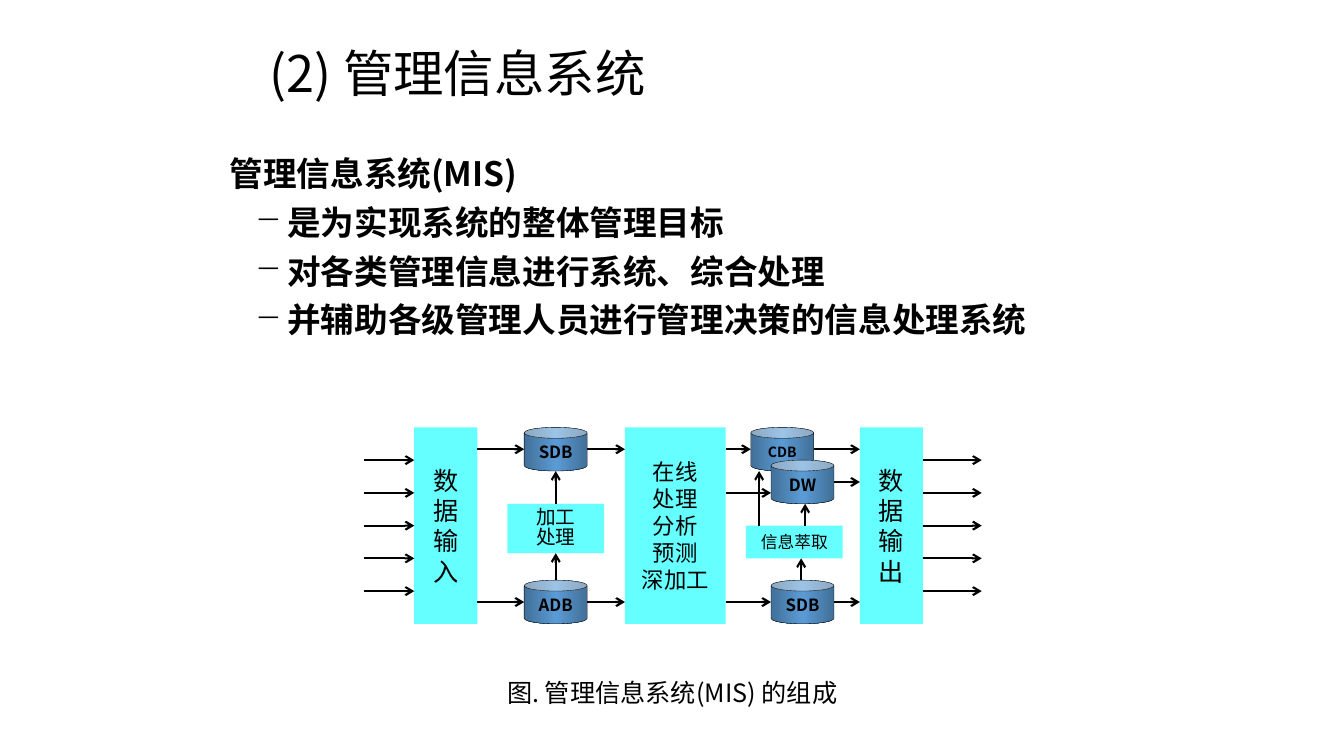
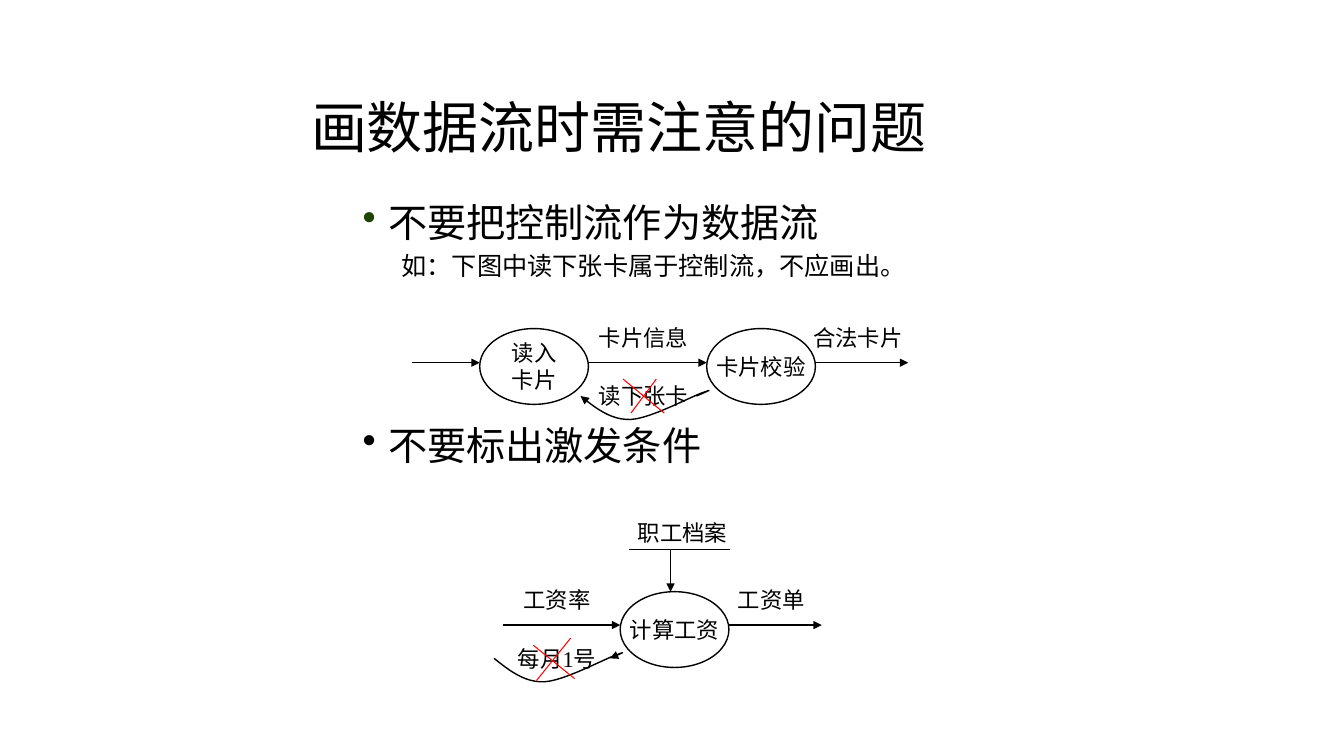
from copy import deepcopy
from dataclasses import dataclass

from lxml.etree import SubElement
from pptx import Presentation
from pptx.dml.color import RGBColor
from pptx.enum.shapes import MSO_CONNECTOR, MSO_SHAPE as SHAPE
from pptx.enum.text import MSO_ANCHOR as ANCHOR, PP_ALIGN as ALIGN
from pptx.oxml.ns import qn
from pptx.slide import Slide
from pptx.util import Cm, Pt

BLACK = RGBColor(0x00, 0x00, 0x00)
RED = RGBColor(0xFF, 0x00, 0x00)
CYAN = RGBColor(0x66, 0xFF, 0xFF)
STEEL = RGBColor(0x41, 0x6F, 0x98)
SKY = RGBColor(0x5B, 0x9B, 0xD5)
MOSS = RGBColor(0x1F, 0x43, 0x00)
SANS = "Noto Sans CJK SC"
SERIF = "Times New Roman"
TOP, LEFT, BOTTOM, RIGHT = range(4)


def add_run(paragraph, text, size, font=SANS, bold=False):
    run = paragraph.add_run()
    run.text = text
    run.font.size = Pt(size)
    run.font.bold = bold
    run.font.color.rgb = BLACK
    run.font.name = font
    SubElement(run._r.get_or_add_rPr(), qn("a:ea"), typeface=SANS)


def add_lines(frame, lines, size, font=SANS, bold=False, align=ALIGN.CENTER, spacing=None):
    for i, line in enumerate(lines):
        paragraph = frame.paragraphs[0] if i == 0 else frame.add_paragraph()
        paragraph.alignment = align
        if spacing:
            paragraph.line_spacing = spacing
        add_run(paragraph, line, size, font, bold)


def set_indent(paragraph, left, first=0, bullet=None, color=BLACK):
    properties = paragraph._p.get_or_add_pPr()
    properties.set("marL", str(Cm(left)))
    properties.set("indent", str(Cm(first)))
    if bullet:
        tint = SubElement(SubElement(properties, qn("a:buClr")), qn("a:srgbClr"))
        tint.set("val", str(color))
        SubElement(properties, qn("a:buChar"), char=bullet)


def set_outline(shape, color, width, head=None, tail=None):
    shape.line.color.rgb = color
    shape.line.width = Pt(width)
    outline = shape.line._get_or_add_ln()
    for tag, kind in (("a:headEnd", head), ("a:tailEnd", tail)):
        if kind:
            SubElement(outline, qn(tag), type=kind)


def bezier(p0, p1, p2, p3, steps=12):
    for i in range(1, steps + 1):
        t = i / steps
        weights = ((1 - t) ** 3, 3 * t * (1 - t) ** 2, 3 * t * t * (1 - t), t ** 3)
        yield tuple(sum(w * p[axis] for w, p in zip(weights, (p0, p1, p2, p3)))
                    for axis in (0, 1))


@dataclass
class Region:
    slide: Slide
    left: float
    top: float

    def text(self, x, y, w, h, anchor=ANCHOR.TOP):
        frame = self.slide.shapes.add_textbox(
            Cm(self.left + x), Cm(self.top + y), Cm(w), Cm(h)).text_frame
        frame.word_wrap = True
        frame.vertical_anchor = anchor
        return frame

    def shape(self, kind, x, y, w, h, lines, size, wrap=True, **style):
        shape = self.slide.shapes.add_shape(
            kind, Cm(self.left + x), Cm(self.top + y), Cm(w), Cm(h))
        shape.shadow.inherit = False
        shape.fill.background()
        shape.line.fill.background()
        frame = shape.text_frame
        frame.word_wrap = wrap
        frame.vertical_anchor = ANCHOR.MIDDLE
        frame.margin_left = frame.margin_right = frame.margin_top = frame.margin_bottom = 0
        add_lines(frame, lines, size, **style)
        return shape

    def line(self, x1, y1, x2, y2, color=BLACK, width=1.0, tail=None, begin=None, end=None):
        connector = self.slide.shapes.add_connector(
            MSO_CONNECTOR.STRAIGHT, Cm(self.left + x1), Cm(self.top + y1),
            Cm(self.left + x2), Cm(self.top + y2))
        if begin:
            connector.begin_connect(*begin)
        if end:
            connector.end_connect(*end)
        set_outline(connector, color, width, tail=tail)
        SubElement(connector._element.spPr, qn("a:effectLst"))

    def panel(self, x, y, w, h, lines, size, **style):
        panel = self.shape(SHAPE.RECTANGLE, x, y, w, h, lines, size, **style)
        panel.fill.solid()
        panel.fill.fore_color.rgb = CYAN
        return panel

    def database(self, x, y, name, size=12):
        can = self.shape(SHAPE.CAN, x, y, CAN_W, CAN_H, [name], size, bold=True)
        can.adjustments[0] = 0.25
        can.fill.gradient()
        can.fill.gradient_angle = 0
        first = can._element.spPr.find(".//" + qn("a:gs"))
        first.addnext(deepcopy(first))
        for stop, position, color in zip(can.fill.gradient_stops, (0, 0.5, 1), (STEEL, SKY, STEEL)):
            stop.position = position
            stop.color.rgb = color
        set_outline(can, BLACK, 0.25)

    def process(self, x, y, *lines):
        ellipse = self.shape(SHAPE.OVAL, x, y, 2.74, 1.91, lines, 16, wrap=False, font=SERIF)
        set_outline(ellipse, BLACK, 1)

    def label(self, x, y, text, w=1.9):
        self.shape(SHAPE.FLOWCHART_PROCESS, x, y, w, 1.27, [text], 16, wrap=False, font=SERIF)

    def flow(self, x1, x2, y):
        self.line(x1, y, x2, y, tail="triangle")

    def swoop(self, x, y, **arrow):
        points = [(0, 0.2)]
        for curve in SWOOP:
            points += bezier(points[-1], *curve)
        points = [(Cm(self.left + x + px), Cm(self.top + y + py)) for px, py in points]
        builder = self.slide.shapes.build_freeform(*points[0])
        builder.add_line_segments(points[1:], close=False)
        outline = builder.convert_to_shape()
        outline.shadow.inherit = False
        outline.fill.background()
        set_outline(outline, BLACK, 1, **arrow)

    def cross_out(self, *strokes):
        for stroke in strokes:
            self.line(*stroke, color=RED, width=0.75)


CAN_W, CAN_H = 1.59, 1.1
SWOOP = (
    ((0.38, 0.5), (0.76, 0.81), (1.27, 0.79)),
    ((1.8, 0.76), (2.84, 0.18), (3.12, 0.1)),
    ((3.38, 0), (3.15, 0.1), (2.92, 0.2)),
)


def add_title(slide, left, top, width, height, text, size):
    frame = Region(slide, left, top).text(0, 0, width, height, ANCHOR.MIDDLE)
    add_lines(frame, [text], size, align=ALIGN.LEFT, spacing=0.9)


def add_definition(slide, left, top):
    frame = Region(slide, left, top).text(0, 0, 22.83, 5.89)
    add_lines(frame, [
        "管理信息系统(MIS)",
        "是为实现系统的整体管理目标",
        "对各类管理信息进行系统、综合处理",
        "并辅助各级管理人员进行管理决策的信息处理系统",
    ], 24, bold=True, align=ALIGN.JUSTIFY)
    for goal in frame.paragraphs[1:]:
        goal.space_before = Pt(6)
        set_indent(goal, 1.45, -0.81, "─")


def add_mis_diagram(slide, left, top):
    region = Region(slide, left, top)
    height = 4.95
    row = height / 6
    upper, lower = CAN_H / 2, height - CAN_H / 2
    lower_can = height - CAN_H
    input_x, store_x, online_x, cdb_x, dw_x, output_x = 1.27, 4.04, 6.58, 9.75, 10.26, 12.5
    online_w = 2.54
    online_end = online_x + online_w
    task_w, task_y, task_h = 2.44, 1.93, 1.24

    def arrow(x1, y1, x2, y2, **joins):
        region.line(x1, y1, x2, y2, width=1.5, tail="arrow", **joins)

    data_in = region.panel(input_x, 0, CAN_W, height, "数据输入", 18)
    region.panel(online_x, 0, online_w, height, ["在线", "处理", "分析", "预测", "深加工"], 16)
    data_out = region.panel(output_x, 0, CAN_W, height, "数据输出", 18)
    for i in range(1, 6):
        y = i * row
        middle = i == 3
        arrow(0, y, input_x, y, end=(data_in, LEFT) if middle else None)
        arrow(output_x + CAN_W, y, 15.57, y, begin=(data_out, RIGHT) if middle else None)

    region.database(store_x, 0, "SDB")
    region.database(store_x, lower_can, "ADB")
    center = store_x + CAN_W / 2
    task = region.panel(center - task_w / 2, task_y, task_w, task_h,
                        ["加工", "处理"], 14, spacing=Pt(14))
    for y in (upper, lower):
        arrow(input_x + CAN_W, y, store_x, y)
        arrow(store_x + CAN_W, y, online_x, y)
    arrow(center, task_y, center, CAN_H, begin=(task, TOP))
    arrow(center, lower_can, center, task_y + task_h, end=(task, BOTTOM))

    region.database(cdb_x, 0, "CDB", 10)
    region.database(dw_x, lower_can, "SDB")
    region.panel(9.63, 3 * row, task_w, row, ["信息萃取"], 12)
    for can_x, y in ((cdb_x, upper), (dw_x, lower)):
        arrow(online_end, y, can_x, y)
        arrow(can_x + CAN_W, y, output_x, y)
    region.database(dw_x, row, "DW")
    arrow(online_end, 2 * row, dw_x, 2 * row)
    arrow(dw_x + CAN_W, row + upper, output_x, row + upper)
    arrow(11.12, 3 * row, 11.12, row + CAN_H)
    arrow(11.02, lower_can, 11.02, 4 * row)
    arrow(9.96, 3 * row, 9.96, CAN_H)


def add_cautions(slide, left, top):
    frame = Region(slide, left, top).text(0, 0, 17.58, 13.13)
    for i, (text, size, before, bullet, color) in enumerate((
        ("不要把控制流作为数据流", 28, 0, "•", MOSS),
        ("如：下图中读下张卡属于控制流，不应画出。", 18, 8, None, BLACK),
        ("不要标出激发条件", 28, 107, "•", BLACK),
    )):
        paragraph = frame.paragraphs[0] if i == 0 else frame.add_paragraph()
        paragraph.line_spacing = 0.8
        paragraph.space_before = Pt(before)
        if bullet:
            set_indent(paragraph, 0.64, -0.64, bullet, color)
        else:
            set_indent(paragraph, 0.98)
        add_run(paragraph, text, size)


def add_card_flow(slide, left, top):
    region = Region(slide, left, top)
    for x1, x2 in ((0, 1.7), (4.44, 7.42), (10.16, 12.5)):
        region.flow(x1, x2, 1.27)
    region.label(9.96, 0, "合法卡片", 2.54)
    region.label(4.88, 0, "卡片信息")
    region.process(1.7, 0.41, "读入", "卡片")
    region.process(7.42, 0.41, "卡片校验")
    region.swoop(4.24, 1.91, head="triangle")
    region.label(4.88, 1.47, "读下张卡")
    region.cross_out((6.15, 1.68, 5.51, 2.54), (5.31, 1.68, 6.35, 2.54))


def add_wage_flow(slide, left, top):
    region = Region(slide, left, top)
    for x1, x2 in ((0.23, 3.18), (5.92, 8.26)):
        region.flow(x1, x2, 2.97)
    region.label(5.72, 1.7, "工资单", 2.54)
    region.label(0.64, 1.7, "工资率")
    region.process(3.18, 2.13, "计算工资")
    region.swoop(0, 3.61, tail="triangle")
    region.label(0.64, 3.18, "每月1号")
    region.line(3.4, 1.07, 5.94, 1.07, width=0.75)
    region.label(3.48, 0, "职工档案", 2.54)
    region.line(4.45, 1.07, 4.45, 2.13, width=0.75, tail="triangle")
    region.cross_out((1.93, 3.3, 1.07, 4.37), (0.99, 3.48, 2.03, 4.32))


def build_mis_slide(slide):
    add_title(slide, 6.55, 0.64, 19.69, 2.54, "(2) 管理信息系统", 36)
    add_definition(slide, 5.54, 3.73)
    caption = Region(slide, 4.24, 16.94).text(0, 0, 25.4, 1.02)
    add_lines(caption, ["图. 管理信息系统(MIS) 的组成"], 18)
    add_mis_diagram(slide, 9.17, 10.77)


def build_flow_slide(slide):
    add_title(slide, 7.59, 1.7, 20.07, 3.18, "画数据流时需注意的问题", 40)
    add_cautions(slide, 8.89, 5.11)
    add_card_flow(slide, 10.39, 7.87)
    add_wage_flow(slide, 12.45, 12.78)


def main():
    deck = Presentation()
    deck.slide_width, deck.slide_height = Cm(33.87), Cm(19.05)
    for build in (build_mis_slide, build_flow_slide):
        build(deck.slides.add_slide(deck.slide_layouts[6]))
    deck.save("out.pptx")


if __name__ == "__main__":
    main()
